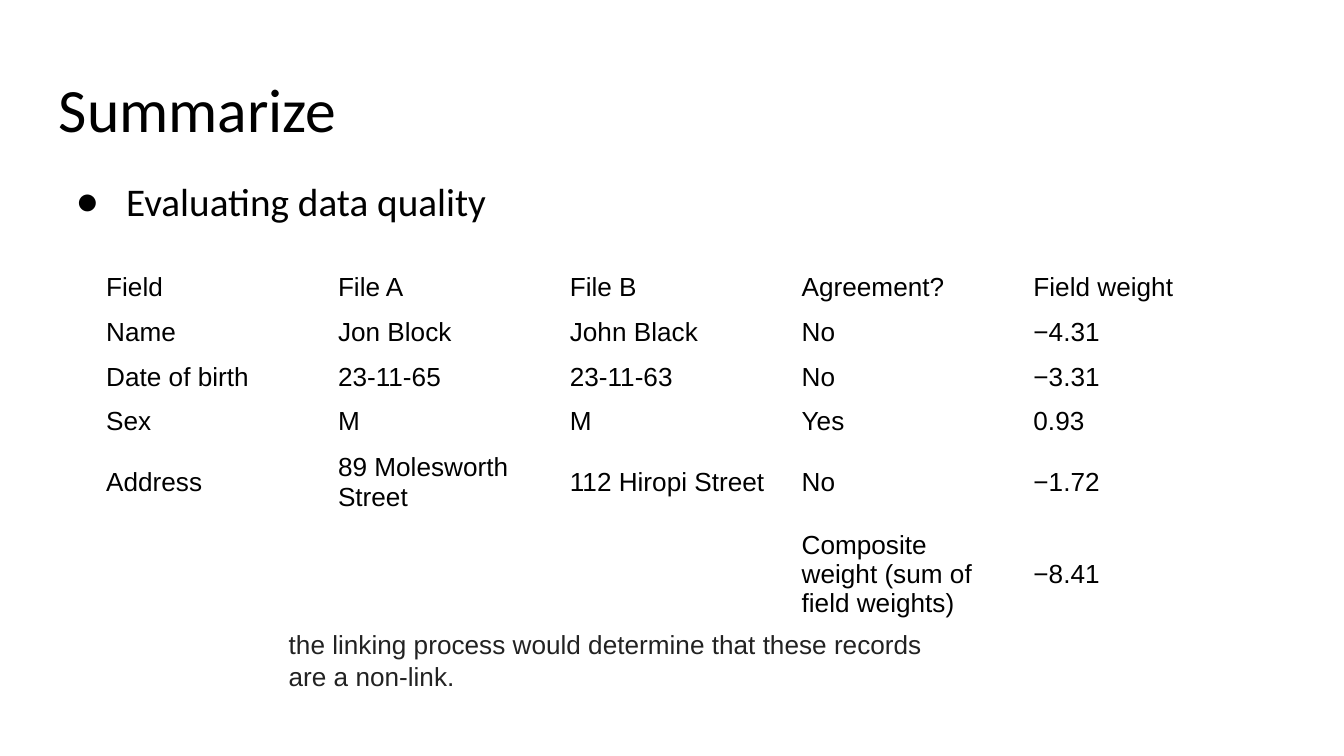
from pptx import Presentation
from pptx.dml.color import RGBColor
from pptx.enum.text import MSO_ANCHOR, MSO_AUTO_SIZE
from pptx.util import Pt
from lxml import etree

PX = 4572  # 200 px to the inch
THEME = {
    "black": "000000", "grey": "222222", "white": "FFFFFF",
    "heading": "Calibri", "text": "Arial",
    "title": 33, "body": 21, "small": 14,
}


def write(tf, text, font, size, color):
    tf.text = text
    p = tf.paragraphs[0]
    for r in p.runs:
        r.font.name = THEME[font]
        r.font.size = Pt(THEME[size])
        r.font.color.rgb = RGBColor.from_string(THEME[color])
    return p


def add_text(box, inset, text, font, size, color):
    tf = s.shapes.add_textbox(*[v * PX for v in box]).text_frame
    tf.word_wrap = True
    tf.margin_left = tf.margin_right = 20 * PX
    tf.margin_top = tf.margin_bottom = inset * PX
    return tf, write(tf, text, font, size, color)


prs = Presentation()
prs.slide_width, prs.slide_height = 2000 * PX, 1125 * PX
s = prs.slides.add_slide(prs.slide_layouts[6])

# Title
tf, p = add_text((68, 98, 1864, 126), 20, "Summarize", "heading", "title", "black")
p.line_spacing = 0.9

# Bullet
tf, p = add_text((68, 252, 1864, 748), 20, "Evaluating data quality",
                 "heading", "body", "black")
p.line_spacing = 0.9
pPr = p._p.get_or_add_pPr()
pPr.set("marL", str(100 * PX))
pPr.set("indent", str(-75 * PX))
ns = "{http://schemas.openxmlformats.org/drawingml/2006/main}"
etree.SubElement(pPr, ns + "buFont", typeface=THEME["text"])
etree.SubElement(pPr, ns + "buChar", char="●")

# Record comparison table
rows = [
    ("Field", "File A", "File B", "Agreement?", "Field weight"),
    ("Name", "Jon Block", "John Black", "No", "−4.31"),
    ("Date of birth", "23-11-65", "23-11-63", "No", "−3.31"),
    ("Sex", "M", "M", "Yes", "0.93"),
    ("Address", "89 Molesworth Street", "112 Hiropi Street", "No", "−1.72"),
    ("", "", "", "Composite weight (sum of field weights)", "−8.41"),
]
frame = s.shapes.add_table(len(rows), len(rows[0]), 138 * PX, 394 * PX,
                           1725 * PX, 524 * PX)
table = frame.table
table.first_row = table.horz_banding = False
for row, texts in zip(table.rows, rows):
    row.height = 0  # rows grow to fit their text
    for cell, text in zip(row.cells, texts):
        cell.fill.solid()
        cell.fill.fore_color.rgb = RGBColor.from_string(THEME["white"])
        cell.vertical_anchor = MSO_ANCHOR.MIDDLE
        cell.margin_left = cell.margin_right = 20 * PX
        cell.margin_top = cell.margin_bottom = 10 * PX
        if text:
            write(cell.text_frame, text, "text", "small", "black")
frame.height = 524 * PX

# Conclusion
tf, p = add_text((410, 926, 1000, 114), 10,
                 "the linking process would determine that these records are a non-link.",
                 "text", "small", "grey")
tf.auto_size = MSO_AUTO_SIZE.SHAPE_TO_FIT_TEXT

prs.save("out.pptx")
